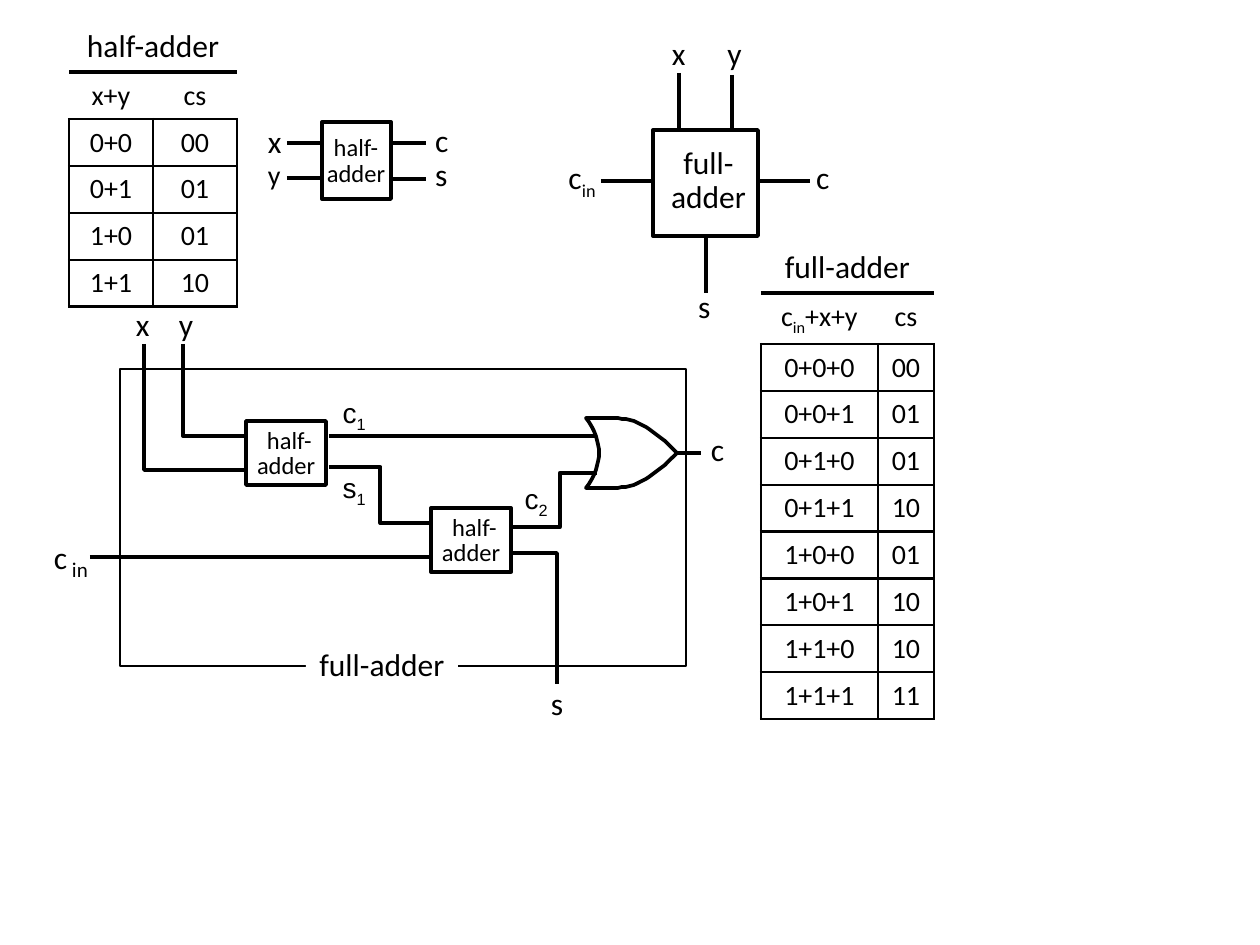
from lxml.etree import SubElement
from pptx import Presentation
from pptx.dml.color import RGBColor
from pptx.enum.shapes import MSO_CONNECTOR as WIRE, MSO_SHAPE
from pptx.enum.text import MSO_ANCHOR, PP_ALIGN
from pptx.oxml.ns import qn
from pptx.util import Emu, Pt

PX = 914400 // 126
COLORS = {"ink": "000000", "paper": "FFFFFF"}
THICK, MEDIUM, THIN = 2.25, 2.13, 1.5
CENTER, LEFT, RIGHT = PP_ALIGN.CENTER, PP_ALIGN.LEFT, PP_ALIGN.RIGHT

# Text between underscores is subscript.
HALF_TABLE = {
    "at": (69, 21), "columns": (84, 84), "rows": (50, 47, 46),
    "title": "half-adder", "head": ("x+y", "cs"),
    "sums": [("0+0", "00"), ("0+1", "01"), ("1+0", "01"), ("1+1", "10")],
}
FULL_TABLE = {
    "at": (761, 242), "columns": (117, 56), "rows": (50, 51, 46),
    "title": "full-adder", "head": ("c_in_+x+y", "cs"),
    "sums": [("0+0+0", "00"), ("0+0+1", "01"), ("0+1+0", "01"), ("0+1+1", "10"),
             ("1+0+0", "01"), ("1+0+1", "10"), ("1+1+0", "10"), ("1+1+1", "11")],
}

# Symbols: outline box, wires as x1, y1, x2, y2
HALF_SYMBOL = (322, 122, 69, 77)
FULL_SYMBOL = (653, 130, 105, 106)
SYMBOL_WIRES = [
    (287, 143, 322, 143), (287, 178, 322, 178), (392, 143, 426, 143), (426, 179, 392, 179),
    (679, 73, 679, 130), (732, 75, 732, 132), (601, 181, 653, 181), (758, 181, 810, 181),
    (706, 293, 706, 236),
]

# Circuit: the inside of the full adder
FRAME = (120, 369, 566, 297)
FRAME_TITLE = (306, 639, 152, 50)
HALF_BOXES = [(246, 421), (431, 508)]
HALF_SIZE = (80, 64)
HALF_WORDS = [("half-", 21, 4, 45), ("adder", 11, 29, 59)]
CIRCUIT_WIRES = [(329, 436, 631, 436), (701, 453, 631, 453), (90, 557, 431, 557)]
CORNER_WIRES = [
    [(144, 344), (144, 470), (246, 470)],
    [(183, 344), (183, 436), (246, 436)],
    [(512, 553), (557, 553), (557, 684)],
]
ELBOW_WIRES = [((329, 467, 432, 523), 50000), ((512, 527, 597, 473), 56300)]
GATE = {"back": 586, "bulge": 13, "shoulder": 614, "tip": 677, "middle": 453, "half": 35}

# text, box, size, font
PADDED_LABELS = [
    ("x", (255, 116, 39, 50), 18, "Calibri"), ("y", (255, 151, 38, 47), 16, "Calibri"),
    ("c", (422, 115, 39, 50), 18, "Calibri"), ("s", (422, 149, 38, 50), 18, "Calibri"),
    ("x", (659, 28, 39, 50), 18, "Calibri"), ("y", (714, 28, 40, 50), 18, "Calibri"),
    ("c_in_", (553, 152, 55, 50), 18, "Calibri"), ("c", (803, 152, 39, 50), 18, "Calibri"),
    ("s", (685, 281, 38, 50), 18, "Calibri"),
    ("c_1_", (328, 389, 50, 47), 16, "Arial"), ("s_1_", (328, 464, 50, 47), 16, "Arial"),
    ("c_2_", (510, 475, 50, 47), 16, "Arial"),
]
TIGHT_LABELS = [
    ("x", (136, 305, 14, 38), 18), ("y", (179, 305, 14, 38), 18),
    ("c", (54, 538, 14, 38), 18), ("in", (72, 557, 16, 25), 12),
    ("c", (711, 430, 14, 38), 18), ("s", (551, 684, 13, 38), 18),
]

prs = Presentation()
prs.slide_width, prs.slide_height = Emu(1260 * PX), Emu(945 * PX)
shapes = prs.slides.add_slide(prs.slide_layouts[6]).shapes


def px(lengths):
    return [Emu(length * PX) for length in lengths]


def color(name):
    return RGBColor.from_string(COLORS[name])


def write(paragraph, text, size, align, font="Calibri"):
    paragraph.alignment = align
    for index, part in enumerate(text.split("_")):
        if part:
            run = paragraph.add_run()
            run.text = part
            run.font.size, run.font.name = Pt(size), font
            run.font.color.rgb = color("ink")
            if index % 2:
                run._r.get_or_add_rPr().set("baseline", "-25000")


def label(text, box, size, align=LEFT, font="Calibri", padded=True, spacing=None):
    frame = shapes.add_textbox(*px(box)).text_frame
    frame.word_wrap = False
    if not padded:
        frame.margin_left = frame.margin_right = frame.margin_top = frame.margin_bottom = 0
    for index, line in enumerate(text.split("\n")):
        paragraph = frame.add_paragraph() if index else frame.paragraphs[0]
        paragraph.line_spacing = spacing
        write(paragraph, line, size, align, font)


def outline(shape, width, filled=False):
    shape.shadow.inherit = False
    if filled:
        shape.fill.solid()
        shape.fill.fore_color.rgb = color("paper")
    else:
        shape.fill.background()
    if width:
        shape.line.color.rgb, shape.line.width = color("ink"), Pt(width)
    else:
        shape.line.fill.background()


def rectangle(box, width, filled=False):
    shape = shapes.add_shape(MSO_SHAPE.RECTANGLE, *px(box))
    outline(shape, width, filled)
    return shape


def wire(ends, kind=WIRE.STRAIGHT, bend=None):
    line = shapes.add_connector(kind, *px(ends))
    line.line.color.rgb, line.line.width = color("ink"), Pt(THICK)
    properties = line._element.spPr
    SubElement(properties, qn("a:effectLst"))
    if bend:
        adjustments = properties.find(qn("a:prstGeom")).find(qn("a:avLst"))
        SubElement(adjustments, qn("a:gd"), name="adj1", fmla=f"val {bend}")


def polyline(points, closed=False):
    builder = shapes.build_freeform(*points[0], scale=PX)
    builder.add_line_segments(points[1:], close=closed)
    outline(builder.convert_to_shape(), MEDIUM, filled=closed)


def or_gate(back, bulge, shoulder, tip, middle, half, steps=16):
    """Draw the gate with parabolas for its back and its two front edges."""
    ts = [step / steps for step in range(steps + 1)]
    upper = [(shoulder + (tip - shoulder) * t, middle - half * (1 - t * t)) for t in ts]
    lower = [(x, 2 * middle - y) for x, y in reversed(upper[:-1])]
    rear = [(back + bulge * (1 - (1 - 2 * t) ** 2), middle + half * (1 - 2 * t)) for t in ts]
    polyline(upper + lower + rear, closed=True)


def set_border(cell, **widths):
    """Set the L, R, T and B borders in points; a missing side has none."""
    properties = cell._tc.get_or_add_tcPr()
    for index, side in enumerate("LRTB"):
        width = widths.get(side, 0)
        border = properties.makeelement(qn(f"a:ln{side}"), {"w": str(int(width * 12700))})
        properties.insert(index, border)
        if width:
            fill = SubElement(border, qn("a:solidFill"))
            SubElement(fill, qn("a:srgbClr"), val=COLORS["ink"])
        else:
            SubElement(border, qn("a:noFill"))


def truth_table(at, columns, rows, title, head, sums):
    lines = [(title, ""), head, *sums]
    heights = [*rows[:2], *[rows[2]] * len(sums)]
    box = (*at, sum(columns), sum(heights))
    table = shapes.add_table(len(lines), 2, *px(box)).table
    table.first_row = table.horz_banding = False
    for column, width in zip(table.columns, px(columns)):
        column.width = width
    for r, (line, height) in enumerate(zip(lines, px(heights))):
        table.rows[r].height = height
        borders = ({"B": THICK}, {"T": THICK, "B": THIN})[r] if r < 2 else dict.fromkeys("LRTB", THIN)
        for c, text in enumerate(line):
            cell = table.cell(r, c)
            cell.fill.background()
            cell.vertical_anchor = MSO_ANCHOR.TOP
            set_border(cell, **borders)
            write(cell.text_frame.paragraphs[0], text, 16 if r else 18, CENTER)
    table.cell(0, 0).merge(table.cell(0, 1))


truth_table(**HALF_TABLE)
truth_table(**FULL_TABLE)

rectangle(HALF_SYMBOL, THICK)
rectangle(FULL_SYMBOL, THICK)
label("half-\nadder", (314, 129, 84, 66), 14, CENTER, spacing=0.9)
label("full-\nadder", (658, 141, 101, 82), 18, CENTER, spacing=0.9)

rectangle(FRAME, THIN)
for ends in SYMBOL_WIRES + CIRCUIT_WIRES:
    wire(ends)
or_gate(**GATE)
for left, top in HALF_BOXES:
    rectangle((left, top, *HALF_SIZE), MEDIUM, filled=True)
    for word, dx, dy, width in HALF_WORDS:
        label(word, (left + dx, top + dy, width, 30), 14, padded=False)

frame_title = rectangle(FRAME_TITLE, 0, filled=True).text_frame
frame_title.word_wrap = False
write(frame_title.paragraphs[0], "full-adder", 18, CENTER)

for corner in CORNER_WIRES:
    polyline(corner)
for ends, bend in ELBOW_WIRES:
    wire(ends, WIRE.ELBOW, bend)

for text, box, size, font in PADDED_LABELS:
    label(text, box, size, RIGHT, font)
for text, box, size in TIGHT_LABELS:
    label(text, box, size, padded=False)

prs.save("out.pptx")
